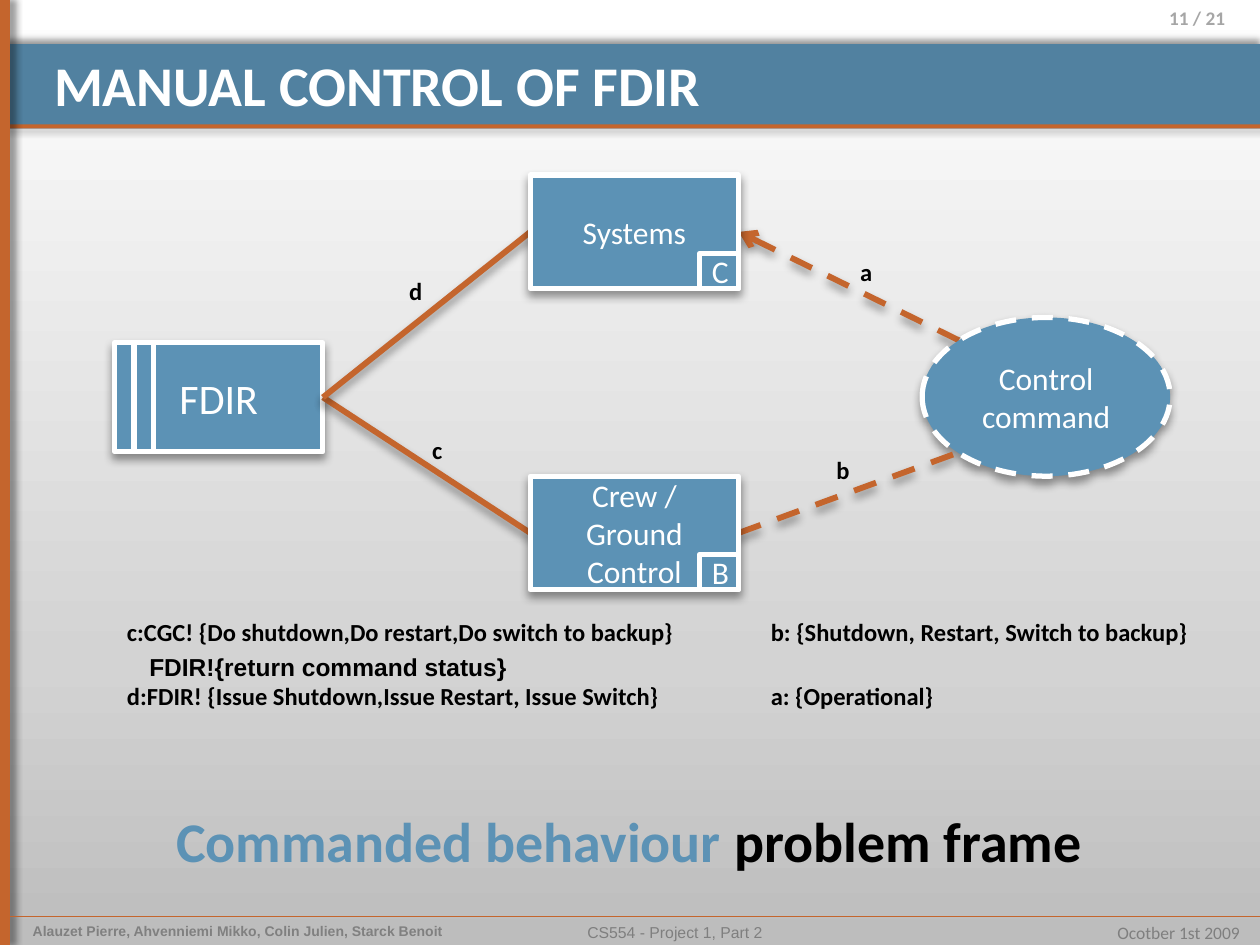
"""Builds the slide on manual control of FDIR as a commanded behaviour problem frame."""
import pptx
import pptx.dml.color
import pptx.enum.dml
import pptx.enum.shapes
import pptx.enum.text
import pptx.oxml
import pptx.oxml.ns
import pptx.util
from lxml import etree

Cm, Pt = pptx.util.Cm, pptx.util.Pt
RGBColor = pptx.dml.color.RGBColor
SHAPE = pptx.enum.shapes.MSO_SHAPE
ALIGN = pptx.enum.text.PP_ALIGN
ANCHOR = pptx.enum.text.MSO_ANCHOR
qn = pptx.oxml.ns.qn

BAND = RGBColor(0x51, 0x81, 0xA0)
BLUE = RGBColor(0x5C, 0x92, 0xB5)
ORANGE = RGBColor(0xC4, 0x65, 0x2D)
WHITE = RGBColor(0xFF, 0xFF, 0xFF)
BLACK = RGBColor(0, 0, 0)
GREY = RGBColor(0x80, 0x80, 0x80)
MID_GREY = RGBColor(0x7F, 0x7F, 0x7F)
LIGHT_GREY = RGBColor(0xA6, 0xA6, 0xA6)
BACKDROP = [(0, RGBColor(0xBD, 0xBD, 0xBD)), (30, RGBColor(0xD3, 0xD3, 0xD3)), (100, WHITE)]

WIDTH, HEIGHT = 25.4, 19.05
BOX_WIDTH, BOX_HEIGHT = 4.2, 2.29
TAG_WIDTH, TAG_HEIGHT = 0.79, 0.71


def set_backdrop(slide):
    fill = slide.background.fill
    fill.gradient()
    fill.gradient_angle = 90
    stops = slide.element.find(".//" + qn("a:gsLst"))
    for stop in list(stops):
        stops.remove(stop)
    for position, color in BACKDROP:
        stop = etree.SubElement(stops, qn("a:gs"), pos=str(position * 1000))
        etree.SubElement(stop, qn("a:srgbClr"), val=str(color))


def set_shadow(item, blur=None, angle=0):
    effects = etree.SubElement(item._element.spPr, qn("a:effectLst"))
    if blur is None:
        return
    shadow = etree.SubElement(
        effects, qn("a:outerShdw"), blurRad=str(Pt(blur)), dist=str(Pt(3)),
        dir=str(angle * 60000), algn="ctr", rotWithShape="0")
    color = etree.SubElement(shadow, qn("a:srgbClr"), val=str(BLACK))
    etree.SubElement(color, qn("a:alpha"), val="40000")


def add_run(paragraph, words, size, color, bold=False, font="Calibri"):
    run = paragraph.add_run()
    run.text = words
    run.font.name = font
    run.font.size = Pt(size)
    run.font.bold = bold
    run.font.color.rgb = color


def add_text(slide, left, top, width, height, runs, align=ALIGN.LEFT):
    frame = slide.shapes.add_textbox(Cm(left), Cm(top), Cm(width), Cm(height)).text_frame
    frame.word_wrap = True
    paragraph = frame.paragraphs[0]
    paragraph.alignment = align
    for run in runs:
        add_run(paragraph, *run)
    return frame


def add_bar(slide, left, top, width, height, color, angle):
    bar = slide.shapes.add_shape(SHAPE.RECTANGLE, Cm(left), Cm(top), Cm(width), Cm(height))
    bar.fill.solid()
    bar.fill.fore_color.rgb = color
    bar.line.fill.background()
    set_shadow(bar, 4, angle)


def add_node(shapes, left, top, width, height, label, size=18,
             outline=SHAPE.RECTANGLE, dashed=False, shadowed=True):
    node = shapes.add_shape(outline, Cm(left), Cm(top), Cm(width), Cm(height))
    node.fill.solid()
    node.fill.fore_color.rgb = BLUE
    node.line.color.rgb = WHITE
    node.line.width = Pt(3)
    if dashed:
        node.line.dash_style = pptx.enum.dml.MSO_LINE.DASH
    set_shadow(node, 5.2 if shadowed else None, 90)
    frame = node.text_frame
    frame.word_wrap = True
    frame.vertical_anchor = ANCHOR.MIDDLE
    frame.paragraphs[0].alignment = ALIGN.CENTER
    add_run(frame.paragraphs[0], label, size, WHITE)


def add_line(shapes, start, end, color, width, dashed=False, arrow=False, blur=None, angle=90):
    line = shapes.add_connector(
        pptx.enum.shapes.MSO_CONNECTOR.STRAIGHT, *(Cm(value) for value in start + end))
    line.line.color.rgb = color
    line.line.width = Pt(width)
    if dashed:
        line.line.dash_style = pptx.enum.dml.MSO_LINE.DASH
    if arrow:
        etree.SubElement(line._element.spPr.find(qn("a:ln")), qn("a:tailEnd"), type="arrow")
    set_shadow(line, blur, angle)


def add_tagged_domain(slide, left, top, label, tag):
    domain = slide.shapes.add_group_shape().shapes
    add_node(domain, left, top, BOX_WIDTH, BOX_HEIGHT, label)
    add_node(domain, left + BOX_WIDTH - TAG_WIDTH, top + BOX_HEIGHT - TAG_HEIGHT,
             TAG_WIDTH, TAG_HEIGHT, tag, shadowed=False)


def add_machine(slide, left, top, height, label):
    machine = slide.shapes.add_group_shape().shapes
    add_node(machine, left, top, BOX_WIDTH, height, label, size=24)
    for stripe in (left + 0.39, left + 0.79):
        add_line(machine, (stripe, top), (stripe, top + height), WHITE, 3)


def add_frame(slide):
    add_bar(slide, 0, 0.89, WIDTH, 1.7, BAND, 270)
    add_bar(slide, 0, 2.51, WIDTH, 0.08, ORANGE, 45)
    add_bar(slide, 0, 0, 0.2, HEIGHT, ORANGE, 0)
    add_text(slide, 0.41, 18.47, 9.32, 0.58,
             [("Alauzet Pierre, Ahvenniemi Mikko, Colin Julien, Starck Benoit", 8, GREY, True, "Arial")])
    add_text(slide, 5.77, 18.47, 15.67, 0.58,
             [("CS554 - Project 1, Part 2", 9, MID_GREY, False, "Arial")], ALIGN.CENTER)
    page = add_text(slide, 22.43, 0, 2.97, 0.99, [("11 / 21", 11, LIGHT_GREY, True)], ALIGN.RIGHT)
    page.margin_right = Cm(0.7)
    add_line(slide.shapes, (0.2, 18.47), (WIDTH, 18.47), ORANGE, 0.25, blur=4, angle=45)
    add_text(slide, 22.12, 18.47, 3.12, 0.69, [("Ocotber 1st 2009", 10, MID_GREY)], ALIGN.RIGHT)
    add_text(slide, 0.84, 0.89, 23.57, 1.47, [("MANUAL CONTROL OF FDIR", 32, WHITE, True)])


def add_diagram(slide):
    systems, crew, machine = (10.69, 3.53), (10.69, 9.6), (2.31, 6.91)
    machine_height = 2.2
    machine_port = (machine[0] + BOX_WIDTH, machine[1] + machine_height / 2)
    left_ports = [(left, top + BOX_HEIGHT / 2) for left, top in (systems, crew)]
    right_ports = [(left + BOX_WIDTH, middle) for left, middle in left_ports]
    add_line(slide.shapes, (19.33, 6.86), right_ports[0], ORANGE, 3.35, True, True, 5.2)
    add_machine(slide, *machine, machine_height, "FDIR")
    add_node(slide.shapes, 18.59, 6.4, 5, 3.2, "Control command", outline=SHAPE.OVAL, dashed=True)
    add_line(slide.shapes, right_ports[1], (19.33, 9.12), ORANGE, 3.35, True, blur=5.2)
    for port in reversed(left_ports):
        add_line(slide.shapes, machine_port, port, ORANGE, 3.35, blur=5.2)
    add_tagged_domain(slide, *systems, "Systems", "C")
    add_tagged_domain(slide, *crew, "Crew / Ground Control", "B")
    for letter, left, top in (("a", 17.09, 5.05), ("b", 16.61, 9.04),
                              ("c", 8.46, 8.64), ("d", 8, 5.44)):
        add_text(slide, left, top, 0.89, 0.86, [(letter, 14, BLACK, True)])


def add_legend(slide):
    left_column, right_column = 2.31, 15.29
    upper_row, lower_row = 12.32, 13.61
    commands = add_text(slide, left_column, upper_row, 11.7, 1.57,
                        [("c:CGC! {Do shutdown,Do restart,Do switch to backup}", 14, BLACK, True)])
    status = commands.add_paragraph()
    status.space_before = Pt(2.8)
    status._p.get_or_add_pPr().set("marL", str(Cm(0.45)))
    add_run(status, "FDIR!{return command status}", 14, BLACK, True, "Arial")
    for words, left, top, width in (
            ("b: {Shutdown, Restart, Switch to backup}", right_column, upper_row, 9.12),
            ("d:FDIR! {Issue Shutdown,Issue Restart, Issue Switch}", left_column, lower_row, 11.5),
            ("a: {Operational}", right_column, lower_row, 3.94)):
        add_text(slide, left, top, width, 0.86, [(words, 14, BLACK, True)])
    add_text(slide, 3.3, 16.13, 19, 1.62,
             [("Commanded behaviour ", 32, BLUE, True), ("problem frame", 32, BLACK, True)])


def main():
    deck = pptx.Presentation()
    deck.slide_width, deck.slide_height = Cm(WIDTH), Cm(HEIGHT)
    slide = deck.slides.add_slide(deck.slide_layouts[6])
    set_backdrop(slide)
    add_frame(slide)
    add_diagram(slide)
    add_legend(slide)
    deck.save("out.pptx")


main()
